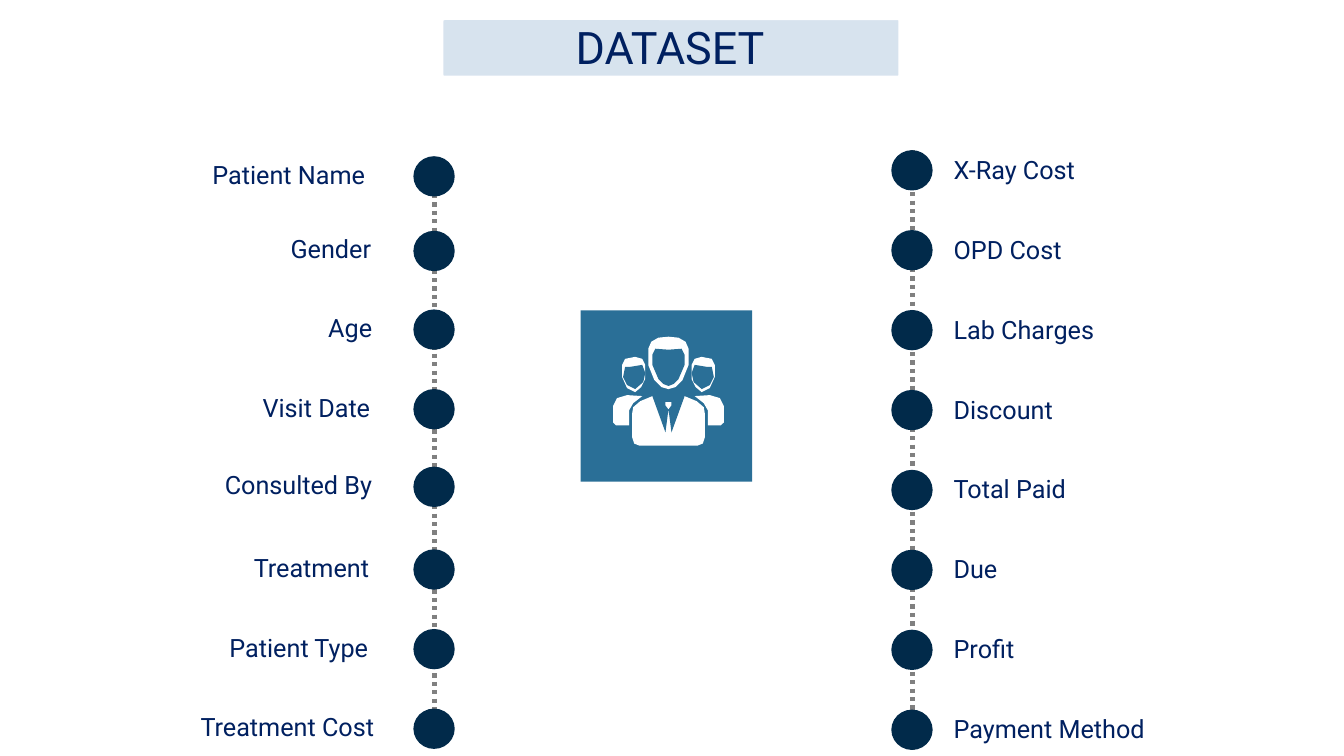
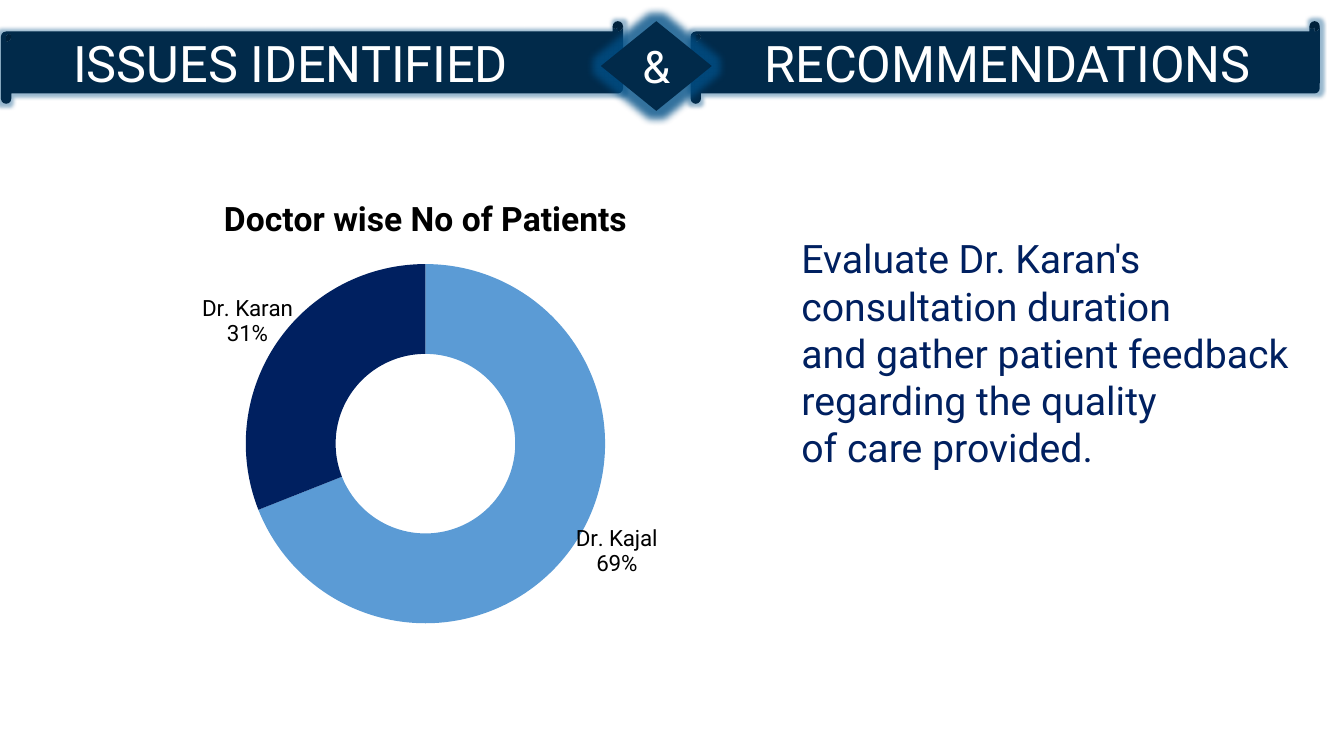
from dataclasses import dataclass

from lxml import etree
from pptx import Presentation
from pptx.chart.data import CategoryChartData
from pptx.dml.color import RGBColor
from pptx.enum.chart import XL_CHART_TYPE as ChartType
from pptx.enum.dml import MSO_LINE_DASH_STYLE as Dash
from pptx.enum.shapes import MSO_CONNECTOR as Connector
from pptx.enum.shapes import MSO_SHAPE as Shape
from pptx.enum.text import MSO_ANCHOR as Anchor
from pptx.enum.text import PP_ALIGN as Align
from pptx.oxml import parse_xml
from pptx.oxml.ns import nsdecls, qn
from pptx.util import Inches, Pt


@dataclass(frozen=True)
class Theme:
    font: str = "Roboto"
    text: str = "002060"
    dark: str = "012A4A"
    band: str = "D7E3EE"
    tile: str = "2A6F97"
    glow: str = "014F86"
    sky: str = "5B9BD5"
    rail: str = "808080"
    white: str = "FFFFFF"
    black: str = "000000"
    banner_size: int = 36
    title_size: int = 32
    body_size: int = 28
    chart_title_size: int = 24
    label_size: int = 18
    chart_size: int = 16


THEME = Theme()


def rgb(code):
    return RGBColor.from_string(code)


def mirror(points, axis):
    return [(2 * axis - x, y) for x, y in points]


class Deck:
    def __init__(self, theme):
        self.theme = theme
        self.prs = Presentation()
        self.prs.slide_width, self.prs.slide_height = Inches(13.33), Inches(7.5)
        self.slide = None

    def new_slide(self):
        self.slide = self.prs.slides.add_slide(self.prs.slide_layouts[6])

    def style_font(self, font, size, color, bold=False):
        font.name, font.size, font.bold = self.theme.font, Pt(size), bold
        font.color.rgb = rgb(color)

    def fill_text(self, frame, lines, size, color, align):
        frame.text = "\n".join(lines)
        for paragraph in frame.paragraphs:
            paragraph.alignment = align
            self.style_font(paragraph.font, size, color)

    def paint(self, shape, fill):
        shape.shadow.inherit = False
        shape.fill.solid()
        shape.fill.fore_color.rgb = rgb(fill)
        shape.line.fill.background()
        return shape

    def shape(self, kind, box, fill):
        return self.paint(
            self.slide.shapes.add_shape(kind, *map(Inches, box)), fill)

    def outline(self, points, fill):
        corners = [(Inches(x), Inches(y)) for x, y in points]
        builder = self.slide.shapes.build_freeform(*corners[0])
        builder.add_line_segments(corners[1:], close=True)
        return self.paint(builder.convert_to_shape(), fill)

    def text(self, box, lines, size, align=Align.LEFT):
        frame = self.slide.shapes.add_textbox(*map(Inches, box)).text_frame
        frame.word_wrap = True
        self.fill_text(frame, lines, size, self.theme.text, align)

    def title(self, caption):
        band = self.shape(Shape.ROUNDED_RECTANGLE, (4.27, 0.07, 4.77, 0.81),
                          self.theme.band)
        band.line.color.rgb = rgb(self.theme.white)
        band.line.width = Pt(18.5)
        self.text((5.61, 0.15, 2.39, 0.64), [caption],
                  self.theme.title_size)

    def rail(self, x, top, bottom):
        line = self.slide.shapes.add_connector(
            Connector.STRAIGHT, *map(Inches, (x, top, x, bottom)))
        line.line.color.rgb = rgb(self.theme.rail)
        line.line.width = Pt(3)
        line.line.dash_style = Dash.ROUND_DOT
        etree.SubElement(line._element.spPr, qn("a:effectLst"))

    def dot(self, left, top):
        self.shape(Shape.OVAL, (left, top, 0.41, 0.4), self.theme.dark)

    def banner(self, kind, box, caption, size, glow_points, alpha,
               right_inset=0.0):
        """Dark heading shape with a soft blue glow."""
        heading = self.shape(kind, box, self.theme.dark)
        effects = heading._element.spPr.find(qn("a:effectLst"))
        glow = etree.SubElement(effects, qn("a:glow"), rad=str(Pt(glow_points)))
        color = etree.SubElement(glow, qn("a:srgbClr"), val=self.theme.glow)
        etree.SubElement(color, qn("a:alpha"), val=str(alpha * 1000))
        frame = heading.text_frame
        frame.vertical_anchor = Anchor.MIDDLE
        frame.margin_left = frame.margin_top = frame.margin_bottom = 0
        frame.margin_right = Inches(right_inset)
        self.fill_text(frame, [caption], size, self.theme.white, Align.CENTER)

    def doughnut(self, box, title, slices):
        """slices: (name, percent, colour, label shift as chart fractions)."""
        theme = self.theme
        data = CategoryChartData()
        data.categories = [name for name, *_ in slices]
        data.add_series("Series 1", [percent for _, percent, *_ in slices])
        chart = self.slide.shapes.add_chart(
            ChartType.DOUGHNUT, *map(Inches, box), data).chart
        self.style_font(chart.font, theme.chart_size, theme.black)
        chart.has_legend = False
        chart.has_title = True
        heading = chart.chart_title.text_frame
        heading.text = title
        self.style_font(heading.paragraphs[0].font, theme.chart_title_size,
                        theme.black, bold=True)
        plot = chart.plots[0]
        plot.vary_by_categories = True
        for point_no, (_, _, color, shift) in enumerate(slices):
            point = plot.series[0].points[point_no]
            point.format.fill.solid()
            point.format.fill.fore_color.rgb = rgb(color)
            self.style_font(point.data_label.font, theme.chart_size,
                            theme.black)
            label = chart._chartSpace.xpath(
                f".//c:dLbl[c:idx/@val='{point_no}']")[0]
            for flag, shown in (("showVal", "0"), ("showCatName", "1"),
                                ("showPercent", "1")):
                label.find(qn(f"c:{flag}")).set("val", shown)
            separator = etree.SubElement(label, qn("c:separator"))
            separator.text = "\n"
            label.find(qn("c:idx")).addnext(manual_layout(x=shift[0],
                                                          y=shift[1]))
        area = chart._chartSpace.chart.plotArea
        for old in area.findall(qn("c:layout")):
            area.remove(old)
        area.insert(0, manual_layout(layoutTarget="inner", xMode="edge",
                                     yMode="edge", x=0.23, y=0.19,
                                     w=0.54, h=0.78))


def manual_layout(**settings):
    items = "".join(f'<c:{tag} val="{val}"/>' for tag, val in settings.items())
    return parse_xml(f'<c:layout {nsdecls("c")}><c:manualLayout>{items}'
                     "</c:manualLayout></c:layout>")


def draw_people(deck):
    """Tile with three plain figures, symmetric about a vertical axis."""
    axis = 6.63
    white, blue = THEME.white, THEME.tile
    deck.shape(Shape.RECTANGLE, (5.76, 3.08, 1.7, 1.7), blue)

    side_figure = (
        ([(6.17, 3.74), (6.17, 3.62), (6.2, 3.56), (6.3, 3.54), (6.37, 3.56),
          (6.4, 3.62), (6.4, 3.76), (6.36, 3.84), (6.3, 3.89), (6.22, 3.85)],
         white),
        ([(6.2, 3.64), (6.25, 3.64), (6.37, 3.62), (6.4, 3.7), (6.38, 3.79),
          (6.3, 3.86), (6.22, 3.82), (6.18, 3.74)], blue),
        ([(6.08, 4.19), (6.08, 4.03), (6.12, 3.95), (6.22, 3.92),
          (6.37, 3.93), (6.28, 4.0), (6.24, 4.07), (6.24, 4.22),
          (6.11, 4.22)], white),
    )
    for points, fill in side_figure:
        deck.outline(points, fill)
        deck.outline(mirror(points, axis), fill)

    # Left halves of the middle figure: head, face, jacket, lapels, tie knot.
    middle_figure = (
        ([(axis, 3.34), (6.53, 3.35), (6.46, 3.39), (6.43, 3.46),
          (6.43, 3.62), (6.49, 3.77), (6.56, 3.84), (axis, 3.86)], white),
        ([(axis, 3.47), (6.5, 3.46), (6.47, 3.52), (6.47, 3.62),
          (6.53, 3.76), (6.58, 3.81), (axis, 3.83)], blue),
        ([(axis, 3.93), (6.47, 3.93), (6.35, 3.98), (6.28, 4.04),
          (6.27, 4.1), (6.27, 4.34), (6.29, 4.4), (6.34, 4.42),
          (axis, 4.42)], white),
        ([(axis, 3.93), (6.47, 3.93), (6.6, 4.29), (axis, 4.06)], blue),
        ([(axis, 3.99), (6.6, 3.99), (6.6, 4.02), (axis, 4.06)], white),
    )
    for half, fill in middle_figure:
        deck.outline(half + mirror(half, axis)[::-1], fill)


def dataset_slide(deck):
    deck.new_slide()
    deck.title("DATASET")

    # Each left field: name, right edge of its label, top of its dot.
    left_fields = (
        ("Patient Name", 3.72, 1.55), ("Gender", 3.78, 2.29),
        ("Age", 3.79, 3.07), ("Visit Date", 3.77, 3.86),
        ("Consulted By", 3.79, 4.63), ("Treatment", 3.76, 5.45),
        ("Patient Type", 3.75, 6.24), ("Treatment Cost", 3.81, 7.03))
    label_width = 2.4
    deck.rail(4.31, 1.59, 7.43)
    for name, right, top in left_fields:
        deck.dot(4.1, top)
        deck.text((right - label_width, top - 0.02, label_width, 0.4), [name],
                  THEME.label_size, Align.RIGHT)

    right_fields = ("X-Ray Cost", "OPD Cost", "Lab Charges", "Discount",
                    "Total Paid", "Due", "Profit", "Payment Method")
    first_top, last_top = 1.49, 7.04
    step = (last_top - first_top) / (len(right_fields) - 1)
    deck.rail(9.05, first_top, 7.44)
    for row, name in enumerate(right_fields):
        top = first_top + row * step
        deck.dot(8.84, top)
        deck.text((9.36, top - 0.01, label_width, 0.4), [name],
                  THEME.label_size)

    draw_people(deck)


def issues_slide(deck):
    deck.new_slide()
    deck.banner(Shape.HORIZONTAL_SCROLL, (6.85, 0.21, 6.24, 0.82),
                "RECOMMENDATIONS", THEME.banner_size, 5, 40)
    deck.banner(Shape.HORIZONTAL_SCROLL, (0.01, 0.21, 6.17, 0.82),
                "ISSUES IDENTIFIED", THEME.banner_size, 5, 40,
                right_inset=0.47)
    deck.banner(Shape.FLOWCHART_DECISION, (5.96, 0.21, 1.1, 0.89),
                "&", THEME.title_size, 11, 80)
    deck.doughnut((0.92, 1.74, 6.6, 4.59), "Doctor wise No of Patients", (
        ("Dr. Kajal", 69, THEME.sky, (0.12, 0.07)),
        ("Dr. Karan", 31, THEME.text, (-0.1, -0.1))))
    deck.text((7.85, 2.28, 5.37, 2.46),
              ["Evaluate Dr. Karan's", "consultation duration",
               "and gather patient feedback", "regarding the quality",
               "of care provided."], THEME.body_size)


def main():
    deck = Deck(THEME)
    dataset_slide(deck)
    issues_slide(deck)
    deck.prs.save("out.pptx")


if __name__ == "__main__":
    main()
